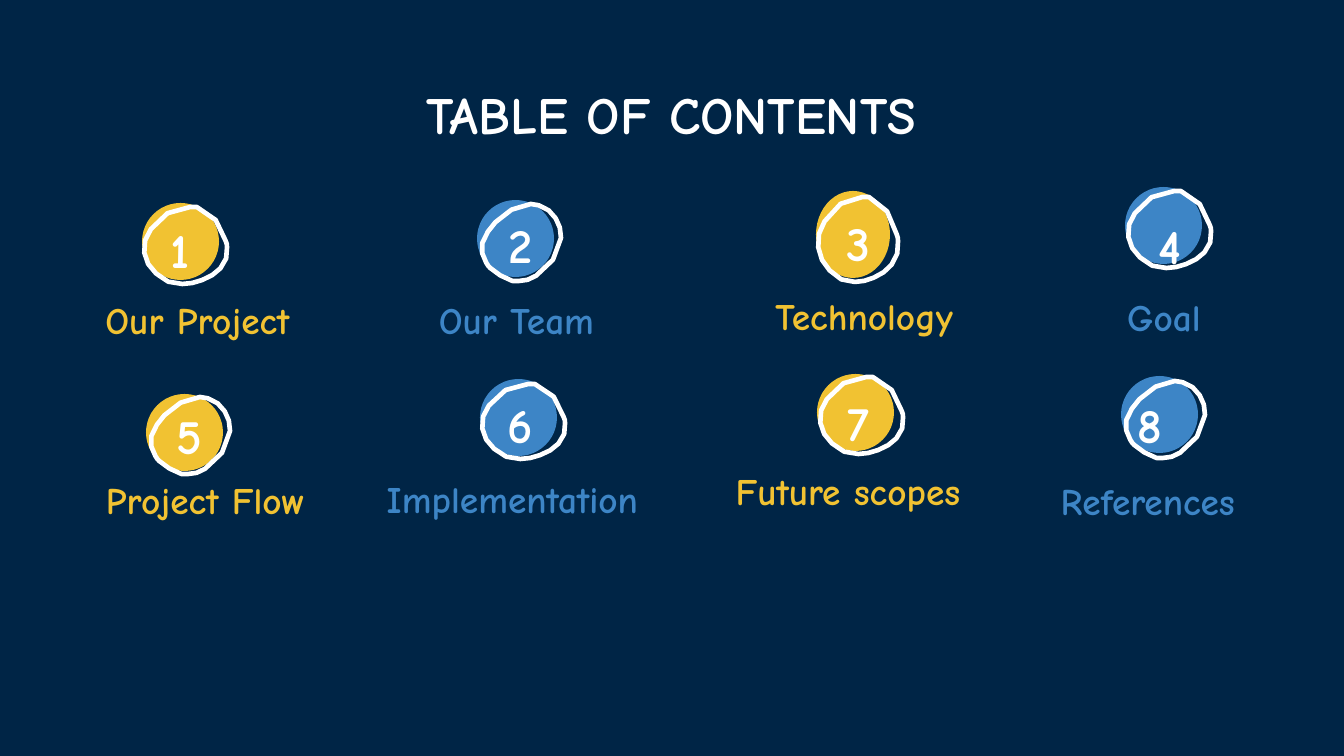
from pptx import Presentation
from pptx.dml.color import RGBColor
from pptx.enum.shapes import MSO_SHAPE
from pptx.enum.text import MSO_ANCHOR, MSO_AUTO_SIZE, PP_ALIGN
from pptx.util import Pt

PX = 914400 / 134.4
FONT = "Comic Neue"
NAVY, WHITE, YELLOW, BLUE = "002546", "FFFFFF", "F1C232", "3D85C6"
LEFT, CENTER = PP_ALIGN.LEFT, PP_ALIGN.CENTER
TOP, MIDDLE = MSO_ANCHOR.TOP, MSO_ANCHOR.MIDDLE
INSET, SLIM_INSET = (13, 13), (13, 7)
STEPS = 2

# Hand-drawn rings: grid size, then the start point followed by Bezier curves
# (two control points and an end point each).
ROUND_RING = ((64, 59), [
    (36, 0),
    (24, 0), (12, 7), (6, 17), (2, 22), (0, 29), (1, 35),
    (2, 41), (5, 47), (10, 51), (15, 57), (23, 59), (30, 59),
    (35, 59), (40, 58), (45, 56), (50, 54), (56, 51), (59, 47),
    (63, 42), (65, 37), (64, 31), (64, 29), (64, 28), (63, 26),
    (60, 15), (53, 3), (41, 0), (39, 0), (37, 0), (36, 0),
])
TILTED_RING = ((61, 59), [
    (38, 0),
    (28, 0), (18, 7), (11, 14), (7, 18), (3, 24), (1, 30),
    (0, 35), (1, 41), (4, 45), (5, 47), (6, 48), (7, 49),
    (12, 53), (17, 57), (24, 59), (25, 59), (27, 59), (29, 59),
    (33, 59), (38, 58), (42, 55), (52, 49), (60, 38), (61, 26),
    (61, 21), (60, 15), (57, 11), (54, 6), (50, 3), (44, 1),
    (42, 1), (40, 0), (38, 0),
])

TITLE = "TABLE OF CONTENTS"
TITLE_BOX = (114, 69, 1115, 85)

# label, label box, number box, dot box, ring box, ring outline
ENTRIES = [
    ("Our Project", (24, 277, 347, 69), (7, 223, 347, 52),
     (142, 203, 77, 77), (142, 206, 86, 79), ROUND_RING),
    ("Our Team", (343, 277, 347, 69), (496, 218, 44, 52),
     (477, 200, 77, 77), (480, 203, 82, 79), TILTED_RING),
    (" Technology", (739, 273, 237, 69), (833, 216, 48, 52),
     (816, 191, 74, 87), (816, 196, 83, 87), ROUND_RING),
    ("Goal", (1095, 274, 138, 69), (1140, 219, 59, 52),
     (1125, 187, 77, 77), (1126, 190, 86, 79), ROUND_RING),
    ("Project Flow", (32, 457, 347, 69), (148, 409, 82, 52),
     (146, 394, 77, 77), (149, 396, 82, 79), TILTED_RING),
    ("Implementation", (339, 456, 347, 69), (347, 398, 347, 52),
     (480, 379, 77, 77), (480, 383, 86, 77), ROUND_RING),
    ("Future scopes", (703, 454, 290, 66), (835, 386, 80, 73),
     (817, 374, 77, 77), (818, 376, 86, 79), ROUND_RING),
    ("References ", (981, 458, 347, 69), (1125, 388, 80, 73),
     (1121, 376, 77, 77), (1124, 380, 82, 79), TILTED_RING),
]
LEFT_ALIGNED_NUMBERS = (7, 8)
SLIM_LABELS = (7,)


def emu(*lengths):
    return [round(length * PX) for length in lengths]


def rgb(color):
    return RGBColor.from_string(color)


def write(shape, text, size, color, align=CENTER, anchor=TOP, inset=INSET):
    frame = shape.text_frame
    frame.auto_size = MSO_AUTO_SIZE.NONE
    frame.word_wrap = True
    frame.vertical_anchor = anchor
    frame.margin_left = frame.margin_right = emu(inset[0])[0]
    frame.margin_top = frame.margin_bottom = emu(inset[1])[0]
    frame.text = text
    paragraph = frame.paragraphs[0]
    paragraph.alignment = align
    font = paragraph.font
    font.name, font.size, font.bold = FONT, Pt(size), True
    font.color.rgb = rgb(color)
    return paragraph


def flatten(contour):
    """Turn a contour of Bezier curves into points along it."""
    points = [contour[0]]
    for i in range(0, len(contour) - 1, 3):
        curve = contour[i:i + 4]
        for step in range(1, STEPS + 1):
            t = step / STEPS
            weights = ((1 - t) ** 3, 3 * t * (1 - t) ** 2,
                       3 * t * t * (1 - t), t ** 3)
            points.append(tuple(sum(w * p[axis] for w, p in zip(weights, curve))
                                for axis in (0, 1)))
    return points


def add_ring(shapes, box, outline):
    left, top, width, height = box
    (columns, rows), contour = outline
    start, *others = [emu(left + 1 + x * (width - 2) / columns,
                          top + 1 + y * (height - 2) / rows)
                      for x, y in flatten(contour)]
    builder = shapes.build_freeform(*start)
    builder.add_line_segments(others[:-1], close=True)
    ring = builder.convert_to_shape()
    ring.shadow.inherit = False
    ring.fill.background()
    ring.line.color.rgb = rgb(WHITE)
    ring.line.width = Pt(2.5)


def add_entry(shapes, number, label, label_box, number_box, dot_box, ring_box, outline):
    color = YELLOW if number % 2 else BLUE
    dot = shapes.add_shape(MSO_SHAPE.OVAL, *emu(*dot_box))
    dot.shadow.inherit = False
    dot.fill.solid()
    dot.fill.fore_color.rgb = rgb(color)
    dot.line.fill.background()
    add_ring(shapes, ring_box, outline)

    number_text = shapes.add_textbox(*emu(*number_box))
    if number in LEFT_ALIGNED_NUMBERS:
        write(number_text, str(number), 26, WHITE, LEFT, TOP, SLIM_INSET)
    else:
        write(number_text, str(number), 26, WHITE, anchor=MIDDLE)

    inset = SLIM_INSET if number in SLIM_LABELS else INSET
    paragraph = write(shapes.add_textbox(*emu(*label_box)), label, 20, color, inset=inset)
    paragraph.line_spacing = 1.15
    paragraph.space_after = Pt(16)


def main():
    presentation = Presentation()
    presentation.slide_width, presentation.slide_height = emu(1344, 756)
    slide = presentation.slides.add_slide(presentation.slide_layouts[5])
    slide.background.fill.solid()
    slide.background.fill.fore_color.rgb = rgb(NAVY)

    title = slide.shapes.title
    title.left, title.top, title.width, title.height = emu(*TITLE_BOX)
    write(title, TITLE, 28, WHITE)

    for number, entry in enumerate(ENTRIES, 1):
        add_entry(slide.shapes, number, *entry)
    presentation.save("out.pptx")


if __name__ == "__main__":
    main()
